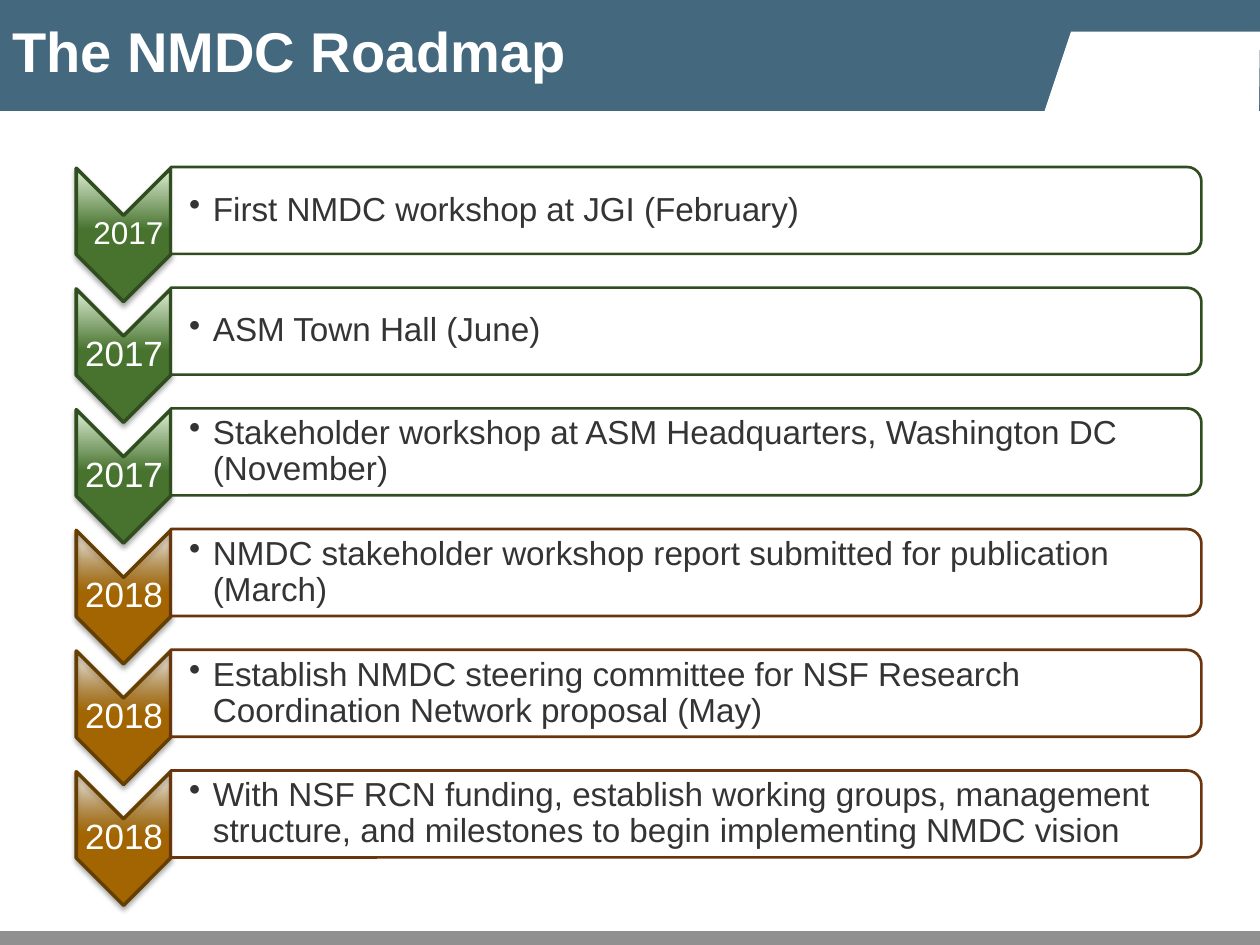
import pptx
import pptx.util
import pptx.oxml
import pptx.oxml.ns
import pptx.dml.color
import pptx.enum.shapes
import pptx.enum.text

Inches = pptx.util.Inches
Pt = pptx.util.Pt
SHAPE = pptx.enum.shapes.MSO_SHAPE
ALIGN = pptx.enum.text.PP_ALIGN
NAMESPACE = pptx.oxml.ns.nsdecls("a")

COLORS = {
    "band": "44687D", "footer": "919090", "white": "FFFFFF", "text": "343434",
    "green": "48732F", "pale_green": "DEEED5", "green_line": "304D1F",
    "brown": "A36602", "brown_line": "653F01", "brown_frame": "69340E",
}
STYLES = {
    "2017": {"stops": [(54, "green", 100), (100, "pale_green", 100)],
             "line": "green_line", "frame": "green_line"},
    "2018": {"stops": [(53, "brown", 100), (100, "brown", 0)],
             "line": "brown_line", "frame": "brown_frame"},
}
MILESTONES = [
    (" 2017", 18, "First NMDC workshop at JGI (February)"),
    ("2017", 20, "ASM Town Hall (June)"),
    ("2017", 20, "Stakeholder workshop at ASM Headquarters, Washington DC (November)"),
    ("2018", 20, "NMDC stakeholder workshop report submitted for publication (March)"),
    ("2018", 20, "Establish NMDC steering committee for NSF Research Coordination Network proposal (May)"),
    ("2018", 20, "With NSF RCN funding, establish working groups, management structure, and milestones to begin implementing NMDC vision"),
]
PITCH = 0.958


def paint(shape, fill=None, line=None, width=0):
    shape.shadow.inherit = False
    if fill:
        shape.fill.solid()
        shape.fill.fore_color.rgb = pptx.dml.color.RGBColor.from_string(COLORS[fill])
    if line:
        shape.line.color.rgb = pptx.dml.color.RGBColor.from_string(COLORS[line])
        shape.line.width = Pt(width)
    else:
        shape.line.fill.background()


def add_text(page, place, text, color, font, margins=None, layout=None, bullet=False):
    box = page.shapes.add_textbox(*map(Inches, place))
    frame = box.text_frame
    frame.word_wrap = True
    frame.vertical_anchor = pptx.enum.text.MSO_ANCHOR.MIDDLE
    for side, value in (margins or {}).items():
        setattr(frame, "margin_" + side, Inches(value))
    para = frame.paragraphs[0]
    for name, value in (layout or {}).items():
        setattr(para, name, value)
    if bullet:
        properties = para._p.get_or_add_pPr()
        properties.set("marL", str(Inches(0.19)))
        properties.set("indent", str(-Inches(0.19)))
        properties.append(pptx.oxml.parse_xml(f'<a:buChar {NAMESPACE} char="•"/>'))
    span = para.add_run()
    span.text = text
    for name, value in {"name": "Arial", **font}.items():
        setattr(span.font, name, value)
    span.font.color.rgb = pptx.dml.color.RGBColor.from_string(COLORS[color])


deck = pptx.Presentation()
deck.slide_width, deck.slide_height = Inches(10), Inches(7.5)
page = deck.slides.add_slide(deck.slide_layouts[6])

for top, height, color in [(0, 0.88, "band"), (7.39, 0.11, "footer")]:
    strip = page.shapes.add_shape(SHAPE.RECTANGLE, 0, Inches(top), Inches(10), Inches(height))
    paint(strip, color)

outline = page.shapes.build_freeform(Inches(8.25), Inches(1))
outline.add_line_segments(
    [(Inches(x), Inches(y)) for x, y in [(8.5, 0.25), (10, 0.25), (9.99, 1)]], close=True)
paint(outline.convert_to_shape(), "white")

add_text(page, (0, 0, 8.6, 0.8), "The NMDC Roadmap", "white", {"size": Pt(32), "bold": True})

tight = {"left": 0.01, "top": 0.01, "right": 0.01, "bottom": 0.01}
for row, (year, size, milestone) in enumerate(MILESTONES):
    offset = row * PITCH
    style = STYLES[year.strip()]

    chevron = page.shapes.add_shape(
        SHAPE.CHEVRON, Inches(0.45), Inches(1.49 + offset), Inches(1.06), Inches(0.75))
    chevron.rotation = 90
    paint(chevron, line=style["line"], width=2)
    stops = "".join(
        f'<a:gs pos="{position * 1000}"><a:srgbClr val="{COLORS[color]}">'
        f'<a:alpha val="{alpha * 1000}"/></a:srgbClr></a:gs>'
        for position, color, alpha in style["stops"])
    shape_properties = chevron._element.spPr
    shape_properties.find(pptx.oxml.ns.qn("a:prstGeom")).addnext(pptx.oxml.parse_xml(
        f'<a:gradFill {NAMESPACE} rotWithShape="0"><a:gsLst>{stops}</a:gsLst>'
        '<a:lin ang="16200000" scaled="0"/></a:gradFill>'))
    shape_properties.find(pptx.oxml.ns.qn("a:effectLst")).append(pptx.oxml.parse_xml(
        f'<a:outerShdw {NAMESPACE} blurRad="{Pt(3.1)}" dist="{Pt(1.8)}" dir="5400000" '
        'rotWithShape="0"><a:srgbClr val="000000"><a:alpha val="35000"/></a:srgbClr></a:outerShdw>'))

    add_text(page, (0.61, 1.7 + offset, 0.75, 0.32), year, "white", {"size": Pt(size)},
             tight, {"alignment": ALIGN.CENTER, "line_spacing": 0.9})

    bar = page.shapes.add_shape(
        SHAPE.ROUND_2_SAME_RECTANGLE, Inches(5.1), Inches(-2.42 + offset), Inches(0.69), Inches(8.18))
    bar.rotation = 90
    paint(bar, "white", style["frame"], 1.5)
    bar_color = bar._element.spPr.find(pptx.oxml.ns.qn("a:solidFill"))[0]
    bar_color.append(pptx.oxml.parse_xml(f'<a:alpha {NAMESPACE} val="90000"/>'))

    add_text(page, (1.35, 1.36 + offset, 8.15, 0.62), milestone, "text", {"size": Pt(19)},
             {**tight, "left": 0.15}, {"level": 1, "line_spacing": 0.9}, bullet=True)

deck.save("out.pptx")
